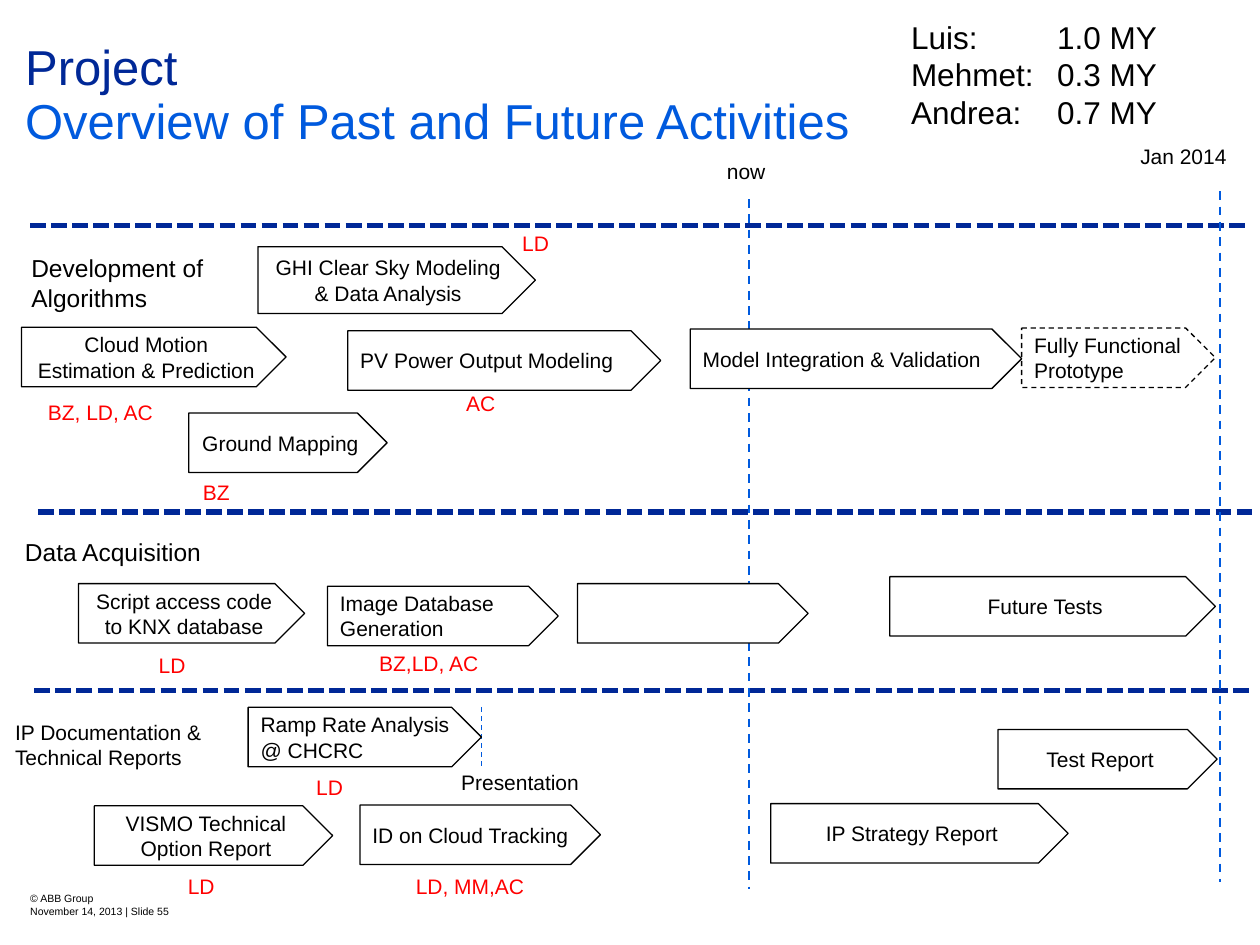
from typing import NamedTuple, Optional

from lxml.etree import SubElement
from pptx import Presentation
from pptx.dml.color import RGBColor
from pptx.enum.dml import MSO_LINE as Dash
from pptx.enum.shapes import MSO_CONNECTOR as Connector
from pptx.enum.shapes import MSO_SHAPE as Preset
from pptx.enum.text import MSO_ANCHOR as Anchor
from pptx.enum.text import MSO_AUTO_SIZE as AutoSize
from pptx.enum.text import PP_ALIGN as Align
from pptx.oxml.ns import qn
from pptx.util import Pt

BLACK, WHITE, RED = "000000", "FFFFFF", "FF0000"
NAVY, BLUE = "002897", "005ADE"
ARROW_HEIGHT = 34


class Activity(NamedTuple):
    label: str
    left: float
    top: float
    width: float
    align: Align = Align.LEFT
    fill: Optional[str] = None
    height: float = ARROW_HEIGHT
    dash: Optional[Dash] = None


class Caption(NamedTuple):
    text: str
    left: float
    top: float
    width: float
    height: float = 25
    size: float = 12
    color: str = BLACK
    align: Align = Align.LEFT
    wrap: bool = False
    insets: tuple = (0, 0, 0, 0)
    anchor: Anchor = Anchor.TOP
    spacing: float = 1.0
    tab: Optional[float] = None


class Rule(NamedTuple):
    x1: float
    y1: float
    x2: float
    y2: float
    color: str = BLUE
    weight: float = 1.25
    dash: Dash = Dash.DASH


CENTER = Align.CENTER
LABEL_INSETS = (7.2, 3.6, 7.2, 3.6)

DIVIDERS = [
    Rule(left, top, left + 694.5, top, NAVY, 3, Dash.SQUARE_DOT)
    for left, top in [(17.3, 128.7), (21.6, 292.6), (19.7, 394.6)]
]
DATE_LINES = [
    Rule(427.9, 113.8, 427.9, 508.3),
    Rule(697, 109.4, 697, 504),
    Rule(275, 404, 275, 438.5, weight=0.75),
]

ACTIVITIES = [
    Activity("GHI Clear Sky Modeling & Data Analysis", 147.4, 141, 158.5, CENTER, height=38.2),
    Activity("Cloud Motion Estimation & Prediction", 12.3, 187, 151.2, CENTER),
    Activity("PV Power Output Modeling", 198.8, 189, 178.8),
    Activity("Ground Mapping", 107.8, 236, 113.4, CENTER),
    Activity("Model Integration & Validation", 394.4, 188, 189.4, fill=WHITE),
    Activity("Fully Functional Prototype", 583.8, 187.4, 110.7, dash=Dash.DASH),
    Activity("Script access code to KNX database", 44.9, 333.5, 129.2, CENTER),
    Activity("Image Database Generation", 187.2, 335, 131.8),
    Activity("", 330, 333.5, 131.8, fill=WHITE),
    Activity("Future Tests", 508.5, 329.5, 186, CENTER, WHITE),
    Activity("Ramp Rate Analysis @ CHCRC", 141.8, 404.2, 133.3, fill=WHITE),
    Activity("VISMO Technical Option Report", 53.9, 460.5, 136.2, CENTER),
    Activity("ID on Cloud Tracking", 205.7, 460, 137.4, fill=WHITE),
    Activity("IP Strategy Report", 440.4, 459.2, 170, CENTER, WHITE),
    Activity("Test Report", 570.3, 416.8, 125.2, CENTER, WHITE),
]

CONTRIBUTORS = [
    Caption("LD", 290.2, 131.8, 31.7, color=RED, align=CENTER),
    Caption("BZ, LD, AC", 27.4, 228.2, 50.4, color=RED),
    Caption("AC", 266.4, 223.2, 70, color=RED),
    Caption("BZ", 116, 274.3, 50.4, color=RED),
    Caption("LD", 90.7, 373, 73.4, color=RED),
    Caption("BZ,LD, AC", 216.7, 371.5, 73.4, color=RED),
    Caption("LD", 180.7, 442.8, 36.7, color=RED),
    Caption("LD", 107.3, 499, 25.2, color=RED),
    Caption("LD, MM,AC", 237.6, 499, 75.6, color=RED),
]

CAPTIONS = [
    Caption("Overview of Past and Future Activities", 0, 51.8, 720, 36.7, 28, BLUE,
            wrap=True, insets=(14.4, 0, 17.3, 0)),
    Caption("Luis:\t1.0 MY\nMehmet:\t0.3 MY\nAndrea:\t0.7 MY", 520.6, 10.1, 179.3, 72, 18, tab=83.5),
    Caption("now", 415.4, 90.7, 24.5, 22.3),
    Caption("Jan 2014", 651.6, 82.1, 60.5, 22.3),
    Caption("Presentation", 263.5, 440, 73.4, 22.3),
    Caption("Development of Algorithms", 10.8, 141.1, 116, 41, 14, wrap=True, insets=LABEL_INSETS),
    Caption("Data Acquisition", 7.2, 303.1, 127.4, 24.5, 14, wrap=True, insets=LABEL_INSETS),
    Caption("IP Documentation & Technical Reports", 8.6, 411.1, 109, 43.2, wrap=True),
    Caption("© ABB Group\nNovember 14, 2013 | Slide 55", 17.3, 488.2, 187.2, 51.8, 6,
            wrap=True, insets=(0, 0, 0, 15.8), anchor=Anchor.BOTTOM),
]


def rgb(color: str) -> RGBColor:
    return RGBColor.from_string(color)


def write(frame, text: str, size: float, color: str, align: Align,
          spacing: float = 1.0, tab: Optional[float] = None) -> None:
    for index, line in enumerate(text.split("\n")):
        paragraph = frame.paragraphs[0] if index == 0 else frame.add_paragraph()
        paragraph.alignment = align
        paragraph.line_spacing = spacing
        paragraph.space_before = Pt(0)
        if tab:
            stops = SubElement(paragraph._p.get_or_add_pPr(), qn("a:tabLst"))
            SubElement(stops, qn("a:tab"), pos=str(Pt(tab)), algn="l")
        run = paragraph.add_run()
        run.text = line
        run.font.name = "Arial"
        run.font.size = Pt(size)
        run.font.color.rgb = rgb(color)


def fill_caption(holder, caption: Caption) -> None:
    frame = holder.text_frame
    frame.auto_size = AutoSize.NONE
    frame.word_wrap = caption.wrap
    frame.vertical_anchor = caption.anchor
    (frame.margin_left, frame.margin_top,
     frame.margin_right, frame.margin_bottom) = map(Pt, caption.insets)
    write(frame, caption.text, caption.size, caption.color,
          caption.align, caption.spacing, caption.tab)


def draw_title(slide, caption: Caption) -> None:
    title = slide.shapes.title
    title.left, title.top = Pt(caption.left), Pt(caption.top)
    title.width, title.height = Pt(caption.width), Pt(caption.height)
    fill_caption(title, caption)


def draw_caption(slide, caption: Caption) -> None:
    box = slide.shapes.add_textbox(
        Pt(caption.left), Pt(caption.top), Pt(caption.width), Pt(caption.height))
    fill_caption(box, caption)


def draw_rule(slide, rule: Rule) -> None:
    line = slide.shapes.add_connector(
        Connector.STRAIGHT, Pt(rule.x1), Pt(rule.y1), Pt(rule.x2), Pt(rule.y2))
    line.line.color.rgb = rgb(rule.color)
    line.line.width = Pt(rule.weight)
    line.line.dash_style = rule.dash
    SubElement(line._element.spPr, qn("a:effectLst"))


def draw_activity(slide, activity: Activity) -> None:
    arrow = slide.shapes.add_shape(
        Preset.PENTAGON, Pt(activity.left), Pt(activity.top),
        Pt(activity.width), Pt(activity.height))
    arrow.shadow.inherit = False
    if activity.fill:
        arrow.fill.solid()
        arrow.fill.fore_color.rgb = rgb(activity.fill)
    else:
        arrow.fill.background()
    arrow.line.color.rgb = rgb(BLACK)
    arrow.line.width = Pt(0.75)
    if activity.dash:
        arrow.line.dash_style = activity.dash
    if activity.label:
        arrow.text_frame.word_wrap = True
        arrow.text_frame.vertical_anchor = Anchor.MIDDLE
        write(arrow.text_frame, activity.label, 12, BLACK, activity.align)


def main() -> None:
    deck = Presentation()
    deck.slide_width, deck.slide_height = Pt(720), Pt(540)
    slide = deck.slides.add_slide(deck.slide_layouts[5])
    draw_title(slide, Caption("Project", 0, 0, 702.7, 88.6, 28, NAVY, wrap=True,
                              insets=(14.4, 24.5, 17.3, 0), spacing=0.9))
    for rule in DIVIDERS + DATE_LINES:
        draw_rule(slide, rule)
    for activity in ACTIVITIES:
        draw_activity(slide, activity)
    for caption in CAPTIONS + CONTRIBUTORS:
        draw_caption(slide, caption)
    deck.save("out.pptx")


if __name__ == "__main__":
    main()
